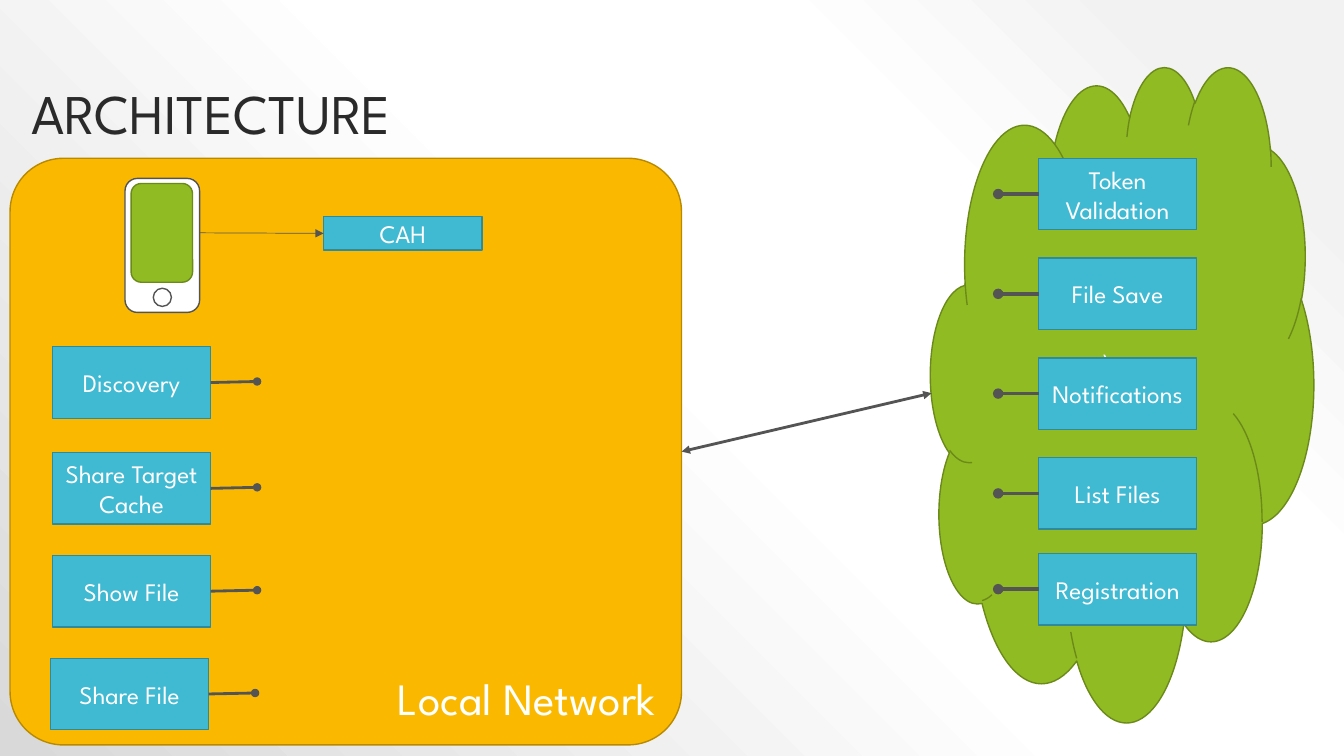
from lxml import etree
from pptx import Presentation
from pptx.dml.color import RGBColor
from pptx.enum.shapes import MSO_CONNECTOR, MSO_SHAPE
from pptx.enum.text import MSO_ANCHOR, PP_ALIGN
from pptx.oxml import parse_xml
from pptx.oxml.ns import nsdecls, qn
from pptx.util import Inches, Pt

FONT = "League Spartan"
COLORS = {
    "title": "2A2A2A", "white": "FFFFFF", "line": "545454",
    "green": "90BB23", "green edge": "6B8A1A",
    "blue": "40BAD2", "blue edge": "2F8A9B",
    "amber": "FAB900", "amber edge": "B98900",
}
BOX_WIDTH, BOX_HEIGHT = 1.57, 0.71
LEFT, RIGHT = 1, 3

deck = Presentation()
deck.slide_width, deck.slide_height = Inches(13.33), Inches(7.5)
page = deck.slides.add_slide(deck.slide_layouts[5])


def add_box(kind, place, fill, edge, text="", size=18,
            align=PP_ALIGN.CENTER, anchor=MSO_ANCHOR.MIDDLE):
    box = page.shapes.add_shape(kind, *[Inches(value) for value in place])
    box.shadow.inherit = False
    box.fill.solid()
    box.fill.fore_color.rgb = RGBColor.from_string(COLORS[fill])
    box.line.color.rgb = RGBColor.from_string(COLORS[edge])
    box.line.width = Pt(1)
    if text:
        box.text_frame.text = text
        box.text_frame.word_wrap = True
        box.text_frame.vertical_anchor = anchor
        para = box.text_frame.paragraphs[0]
        para.alignment = align
        font = para.runs[0].font
        font.name, font.size = FONT, Pt(size)
        font.color.rgb = RGBColor.from_string(COLORS["white"])
    return box


def add_line(start, end, width, tail, head=None):
    """Draw a straight line; head marks its start and tail its end."""
    points = [Inches(value) for value in (*start, *end)]
    line = page.shapes.add_connector(MSO_CONNECTOR.STRAIGHT, *points)
    line.line.color.rgb = RGBColor.from_string(COLORS["line"])
    line.line.width = Pt(width)
    outline = line.line._get_or_add_ln()
    for tag, arrow in (("a:headEnd", head), ("a:tailEnd", tail)):
        if arrow:
            etree.SubElement(outline, qn(tag), type=arrow)
    etree.SubElement(line._element.spPr, qn("a:effectLst"))
    return line


# Background
page.background.fill.gradient()
gradient = page._element.find(".//" + qn("a:gradFill"))
stops = "".join(
    f'<a:gs pos="{position * 1000}"><a:srgbClr val="{color}"/></a:gs>'
    for position, color in ((10, "F2F2F2"), (28, "FFFFFF"), (48, "FFFFFF"), (100, "D9D9D9")))
gradient.getparent().replace(gradient, parse_xml(
    f'<a:gradFill {nsdecls("a")} rotWithShape="1"><a:gsLst>{stops}</a:gsLst>'
    '<a:path path="circle"><a:fillToRect l="100000" b="100000"/></a:path></a:gradFill>'))

# Title
title = page.shapes.title
title.left, title.top = Inches(0.21), Inches(0.53)
title.width, title.height = Inches(10.67), Inches(0.97)
title.text_frame.text = "ARCHITECTURE"
title.text_frame.vertical_anchor = MSO_ANCHOR.BOTTOM
heading = title.text_frame.paragraphs[0]
heading.alignment = PP_ALIGN.LEFT
heading.line_spacing = 0.9
heading_font = heading.runs[0].font
heading_font.name, heading_font.size = FONT, Pt(40)
heading_font.color.rgb = RGBColor.from_string(COLORS["title"])

# Cloud services
cloud = add_box(MSO_SHAPE.CLOUD, (9.23, 0.65, 3.8, 6.5), "green", "green edge", "\\")
cloud.text_frame.margin_bottom = Inches(0.35)
cloud_services = [("Token Validation", 1.57), ("File Save", 2.56), ("Notifications", 3.55),
                  ("List Files", 4.54), ("Registration", 5.49)]
for name, top in cloud_services:
    service = add_box(MSO_SHAPE.RECTANGLE, (10.3, top, BOX_WIDTH, BOX_HEIGHT),
                      "blue", "blue edge", name)
    middle = top + BOX_HEIGHT / 2
    pin = add_line((10.3, middle), (9.9, middle), 2.5, "oval")
    pin.begin_connect(service, LEFT)

# Local network with the phone
network = add_box(MSO_SHAPE.ROUNDED_RECTANGLE, (0.1, 1.57, 6.66, 5.82), "amber", "amber edge",
                  "Local Network", 32, PP_ALIGN.RIGHT, MSO_ANCHOR.BOTTOM)
network.adjustments[0] = 0.091
# The text inset follows the rounded corners
add_box(MSO_SHAPE.ROUNDED_RECTANGLE, (1.24, 1.77, 0.74, 1.33), "white", "line")
add_box(MSO_SHAPE.OVAL, (1.52, 2.86, 0.18, 0.18), "white", "line")
add_box(MSO_SHAPE.ROUNDED_RECTANGLE, (1.3, 1.82, 0.61, 0.98), "green", "green edge")
handler = add_box(MSO_SHAPE.RECTANGLE, (3.21, 2.15, BOX_WIDTH, 0.33), "blue", "blue edge", "CAH")
phone_link = add_line((1.98, 2.31), (3.21, 2.31), 0.5, "triangle")
phone_link.end_connect(handler, LEFT)

# Local services
local_services = [("Discovery", 0.52, 3.44), ("Share Target Cache", 0.52, 4.49),
                  ("Show File", 0.52, 5.51), ("Share File", 0.5, 6.53)]
for name, left, top in local_services:
    service = add_box(MSO_SHAPE.RECTANGLE, (left, top, BOX_WIDTH, BOX_HEIGHT),
                      "blue", "blue edge", name)
    right, middle = left + BOX_WIDTH, top + BOX_HEIGHT / 2
    pin = add_line((right, middle), (right + 0.46, middle - 0.01), 2, "oval")
    pin.begin_connect(service, RIGHT)

# Link between the network and the cloud
cloud_link = add_line((6.76, 4.48), (9.24, 3.9), 2, "triangle", "triangle")
cloud_link.begin_connect(network, RIGHT)

deck.save("out.pptx")
